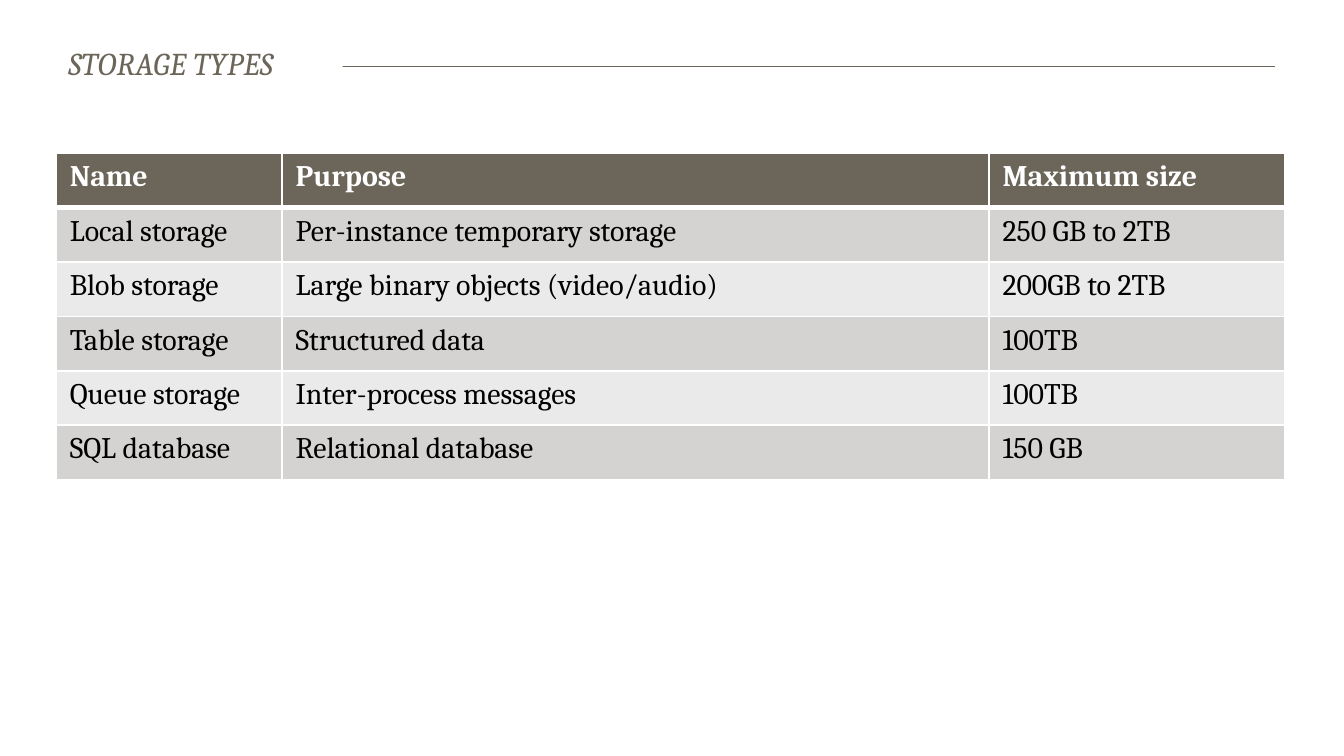
from lxml import etree
from pptx import Presentation
from pptx.dml.color import RGBColor
from pptx.enum import shapes, text
from pptx.oxml import ns
from pptx.util import Inches, Pt

COLOURS = {
    "accent": "6C6559",
    "white": "FFFFFF",
    "black": "000000",
    "dark_band": "D4D3D1",
    "light_band": "EBEAEA",
}
FONT = "Cambria"
ROWS = [
    ("Name", "Purpose", "Maximum size"),
    ("Local storage", "Per-instance temporary storage", "250 GB to 2TB"),
    ("Blob storage", "Large binary objects (video/audio)", "200GB to 2TB"),
    ("Table storage", "Structured data", "100TB"),
    ("Queue storage ", "Inter-process messages", "100TB"),
    ("SQL database ", "Relational database", "150 GB"),
]
COLUMN_WIDTHS = (1.68, 5.26, 2.2)


def colour(name):
    return RGBColor.from_string(COLOURS[name])


def format_text(frame, size, colour_name, bold=False, italic=False):
    for para in frame.paragraphs:
        for span in para.runs:
            span.font.name = FONT
            span.font.size = Pt(size)
            span.font.bold = bold
            span.font.italic = italic
            span.font.color.rgb = colour(colour_name)


def set_borders(cell, top_width, bottom_width):
    properties = cell._tc.get_or_add_tcPr()
    widths = {"lnL": 1, "lnR": 1, "lnT": top_width, "lnB": bottom_width}
    for position, (side, width) in enumerate(widths.items()):
        border = etree.Element(ns.qn("a:" + side), w=str(Pt(width)))
        fill = etree.SubElement(border, ns.qn("a:solidFill"))
        etree.SubElement(fill, ns.qn("a:srgbClr"), val=COLOURS["white"])
        properties.insert(position, border)


def add_heading(page, left, top, width, height):
    line_y = Inches(top + 0.17)
    rule = page.shapes.add_connector(
        shapes.MSO_CONNECTOR.STRAIGHT,
        Inches(left + 0.12), line_y, Inches(left + width), line_y)
    rule.line.color.rgb = colour("accent")
    rule.line.width = Pt(0.2)
    etree.SubElement(rule._element.spPr, ns.qn("a:effectLst"))

    box = page.shapes.add_textbox(
        Inches(left), Inches(top), Inches(2.14), Inches(height))
    box.fill.solid()
    box.fill.fore_color.rgb = colour("white")
    frame = box.text_frame
    frame.word_wrap = True
    frame.vertical_anchor = text.MSO_ANCHOR.MIDDLE
    frame.margin_top = frame.margin_bottom = 0
    frame.text = "STORAGE TYPES"
    format_text(frame, 17, "accent", italic=True)
    for span in frame.paragraphs[0].runs:
        span.font._element.set("spc", "20")


def add_storage_table(page, left, top, width, height):
    table = page.shapes.add_table(
        len(ROWS), len(COLUMN_WIDTHS),
        Inches(left), Inches(top), Inches(width), Inches(height)).table
    for column, column_width in zip(table.columns, COLUMN_WIDTHS):
        column.width = Inches(column_width)
    for row_index, values in enumerate(ROWS):
        header = row_index == 0
        band = "dark_band" if row_index % 2 else "light_band"
        for column_index, value in enumerate(values):
            cell = table.cell(row_index, column_index)
            cell.text = value
            format_text(cell.text_frame, 16,
                        "white" if header else "black", bold=header)
            cell.fill.solid()
            cell.fill.fore_color.rgb = colour("accent" if header else band)
            set_borders(cell, 3 if row_index == 1 else 1, 3 if header else 1)


deck = Presentation()
deck.slide_width = Inches(10)
deck.slide_height = int(deck.slide_width * 9 / 16)
page = deck.slides.add_slide(deck.slide_layouts[6])
add_heading(page, 0.41, 0.32, 9.08, 0.29)
add_storage_table(page, 0.42, 1.14, sum(COLUMN_WIDTHS), 2.43)
deck.save("out.pptx")
